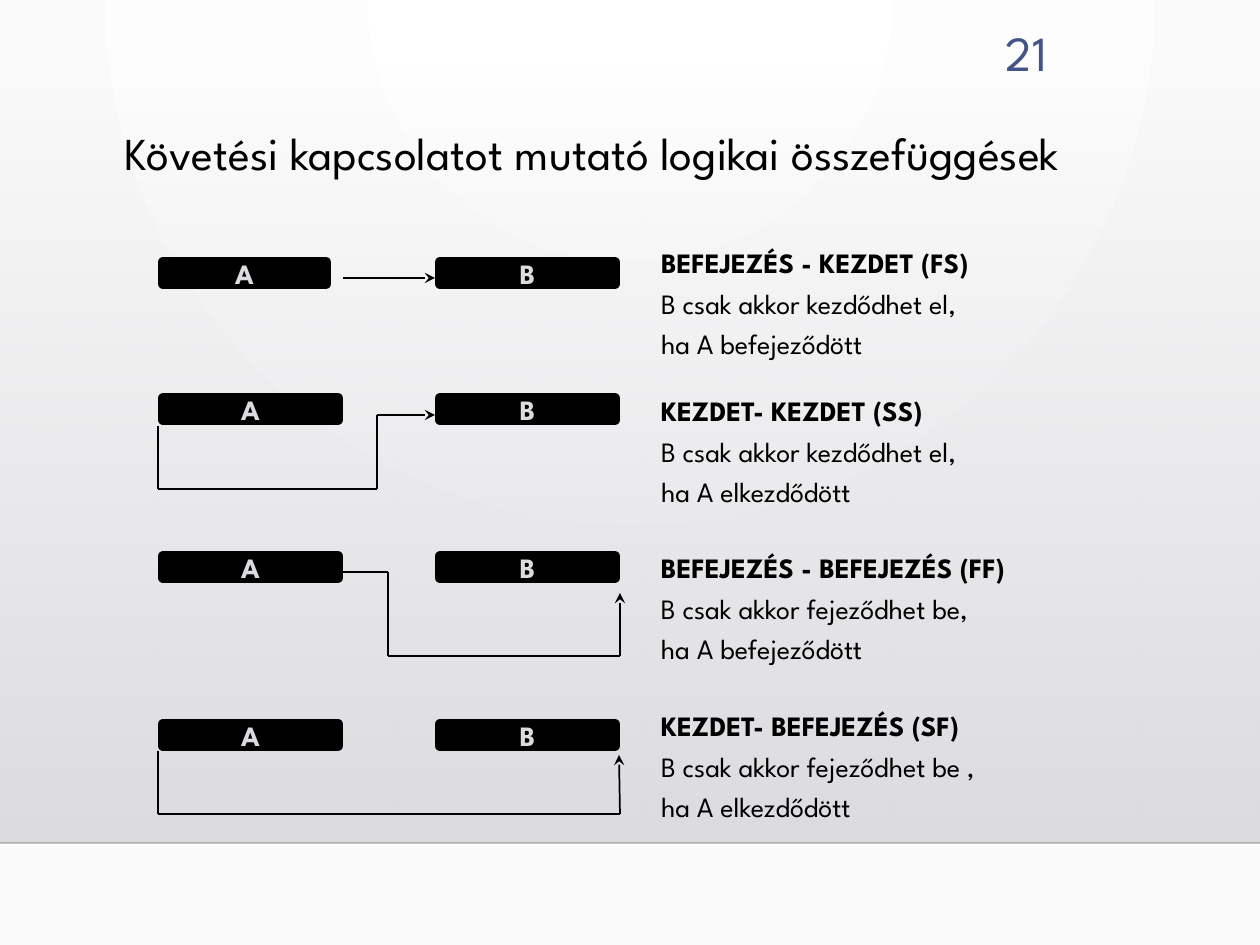
from itertools import pairwise

from lxml.etree import SubElement
from pptx import Presentation
from pptx.dml.color import RGBColor
from pptx.enum.shapes import MSO_CONNECTOR as Link, MSO_SHAPE as Preset
from pptx.enum.text import MSO_ANCHOR as Anchor, PP_ALIGN as Align
from pptx.oxml.ns import qn
from pptx.util import Emu, Pt

FONT = "League Spartan"
BLACK, PALE, BLUE = "000000", "DCDCE0", "415588"


def px(count):
    return Emu(round(count * 914400 / 126))


def colour(code):
    return RGBColor.from_string(code)


def assign(target, **values):
    for name, value in values.items():
        setattr(target, name, value)


class Canvas:
    """Holds the text style and the current page, and draws its elements."""

    def __init__(self, page, font):
        self.page, self.shapes, self.font = page, page.shapes, font

    def gradient(self, fill, codes):
        fill.gradient()
        for stop, code in zip(fill.gradient_stops, codes):
            stop.color.rgb = colour(code)

    def opacity(self, element, percent):
        SubElement(element, qn("a:alpha"), val=str(percent * 1000))

    def backdrop(self, codes, focus):
        fill = self.page.background.fill
        self.gradient(fill, codes)
        root = self.page.background._cSld.find(".//" + qn("a:gradFill"))
        root.remove(root.find(qn("a:lin")))
        circle = SubElement(root, qn("a:path"), path="circle")
        sides = {side: str(value * 1000) for side, value in zip("ltrb", focus)}
        SubElement(circle, qn("a:fillToRect"), **sides)

    def panel(self, area, codes):
        shape = self.shapes.add_shape(Preset.RECTANGLE, *map(px, area))
        shape.shadow.inherit = False
        shape.line.fill.background()
        self.gradient(shape.fill, codes)
        shape.fill.gradient_angle = 270
        clear = shape._element.spPr.find(".//" + qn("a:srgbClr"))
        self.opacity(clear, 0)

    def span(self, para, text, size, code, bold=False):
        span = para.add_run()
        span.text = text
        assign(span.font, name=self.font, size=Pt(size), bold=bold)
        span.font.color.rgb = colour(code)

    def frame(self, box, inset, **values):
        across, down = map(px, inset)
        assign(box.text_frame, margin_left=across, margin_right=across,
               margin_top=down, margin_bottom=down, **values)
        return box.text_frame

    def title(self, area, text):
        box = self.shapes.title
        assign(box, **dict(zip(("left", "top", "width", "height"), map(px, area))))
        self.shapes._spTree.append(box._element)
        frame = self.frame(box, (13, 6), vertical_anchor=Anchor.TOP, word_wrap=True)
        para = frame.paragraphs[0]
        assign(para, alignment=Align.LEFT, line_spacing=0.9)
        self.span(para, text, 26.1, BLACK)

    def number(self, area, text):
        box = self.shapes.add_textbox(*map(px, area))
        frame = self.frame(box, (13, 6), vertical_anchor=Anchor.BOTTOM, word_wrap=True)
        frame.paragraphs[0].alignment = Align.RIGHT
        self.span(frame.paragraphs[0], text, 28, BLUE)

    def bar(self, area, text):
        shape = self.shapes.add_shape(Preset.ROUNDED_RECTANGLE, *map(px, area))
        shape.shadow.inherit = False
        shape.adjustments[0] = 0.125
        shape.fill.solid()
        shape.fill.fore_color.rgb = shape.line.color.rgb = colour(BLACK)
        shape.line.width = Pt(1)
        frame = self.frame(shape, (13, 6), vertical_anchor=Anchor.MIDDLE, word_wrap=False)
        frame.paragraphs[0].alignment = Align.CENTER
        self.span(frame.paragraphs[0], text, 16, PALE, True)

    def line(self, start, end):
        line = self.shapes.add_connector(Link.STRAIGHT, *map(px, start + end))
        line.line.color.rgb = colour(BLACK)
        line.line.width = Pt(1)
        SubElement(line._element.spPr, qn("a:effectLst"))
        return line

    def rule(self, start, end, percent):
        line = self.line(start, end)
        self.opacity(line._element.spPr.find(".//" + qn("a:srgbClr")), percent)

    def route(self, points):
        for start, end in pairwise(points):
            line = self.line(start, end)
        SubElement(line._element.spPr.find(qn("a:ln")), qn("a:tailEnd"), type="stealth")

    def description(self, area, lines):
        box = self.shapes.add_textbox(*map(px, area))
        frame = self.frame(box, (6, 3), word_wrap=True)
        for index, text in enumerate(lines):
            para = frame.add_paragraph() if index else frame.paragraphs[0]
            assign(para, alignment=Align.JUSTIFY, line_spacing=0.85, space_after=Pt(0))
            props = para._p.get_or_add_pPr()
            props.set("marL", str(int(px(48))))
            props.set("indent", str(-int(px(48))))
            after = props.find(qn("a:spcAft"))
            after.remove(after[0])
            SubElement(after, qn("a:spcPct"), val="43000")
            self.span(para, text, 16, BLACK, index == 0)


RELATIONS = [
    (258, 171, 248, 437,
     ["BEFEJEZÉS - KEZDET (FS)", "B csak akkor kezdődhet el,", "ha A befejeződött"],
     [(343, 278), (435, 278)]),
    (394, 183, 396, 437,
     ["KEZDET- KEZDET (SS)", "B csak akkor kezdődhet el,", "ha A elkezdődött"],
     [(158, 426), (158, 489), (377, 489), (377, 415), (435, 415)]),
    (552, 183, 553, 507,
     ["BEFEJEZÉS - BEFEJEZÉS (FF)", "B csak akkor fejeződhet be,", "ha A befejeződött"],
     [(343, 572), (388, 572), (388, 656), (620, 656), (620, 593)]),
    (720, 183, 711, 473,
     ["KEZDET- BEFEJEZÉS (SF)", "B csak akkor fejeződhet be ,", "ha A elkezdődött"],
     [(158, 751), (158, 814), (620, 814), (619, 755)]),
]


def main():
    deck = Presentation()
    assign(deck, slide_width=px(1260), slide_height=px(945))
    canvas = Canvas(deck.slides.add_slide(deck.slide_layouts[5]), FONT)
    canvas.backdrop(("FFFFFF", "FAFAFA"), (43, 0, 43, 100))
    canvas.panel((0, 64, 1260, 779), ("DCDCE0", "DADADF"))
    canvas.rule((0, 843), (1260, 843), 20)
    canvas.number((950, 18, 110, 69), "21")
    canvas.title((111, 125, 1061, 116), "Követési kapcsolatot mutató logikai összefüggések")
    for top, width, text_top, text_width, lines, points in RELATIONS:
        canvas.bar((159, top, width, 30), "A")
        canvas.bar((436, top, 183, 30), "B")
        canvas.route(points)
        canvas.description((655, text_top, text_width, 120), lines)
    deck.save("out.pptx")


if __name__ == "__main__":
    main()
